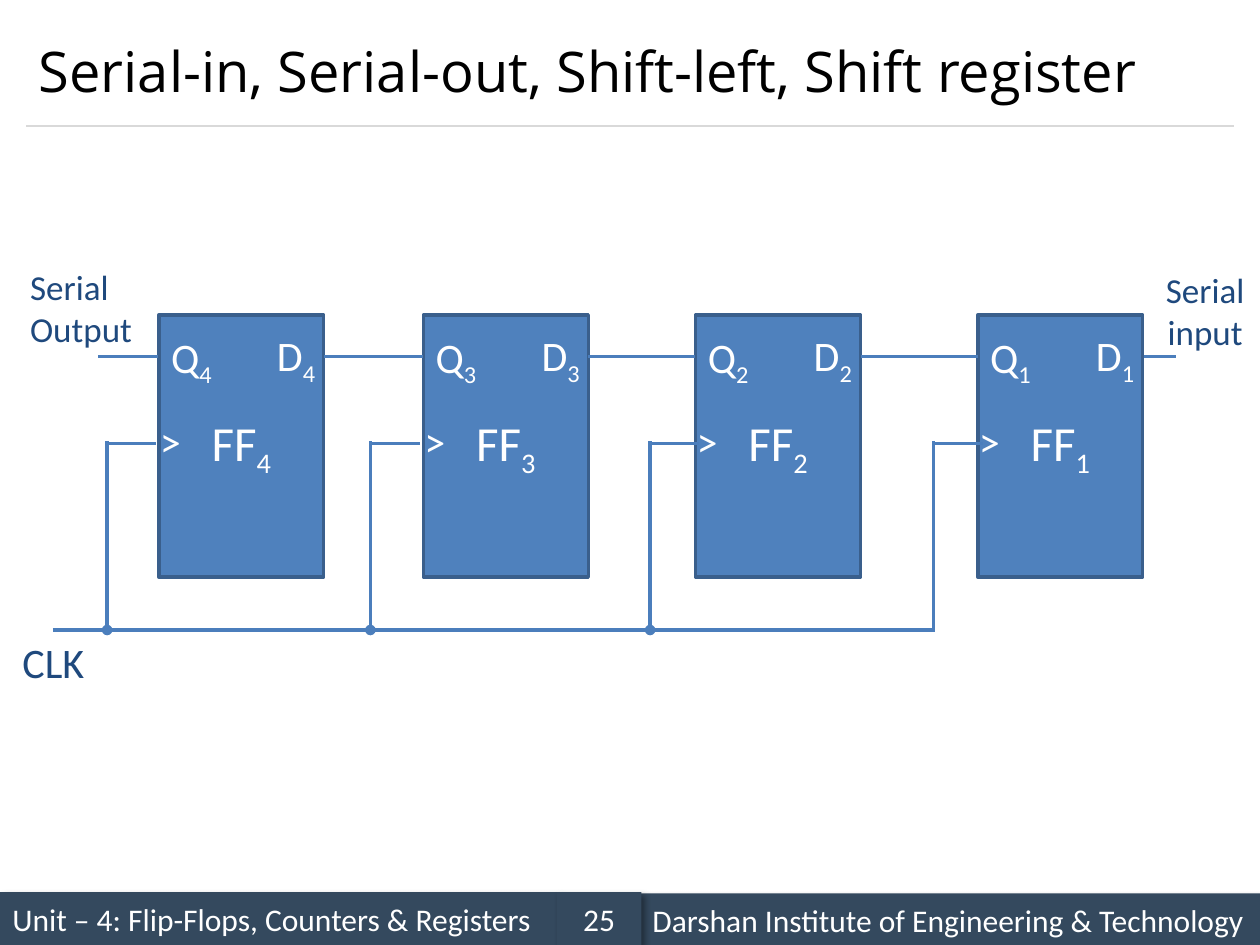
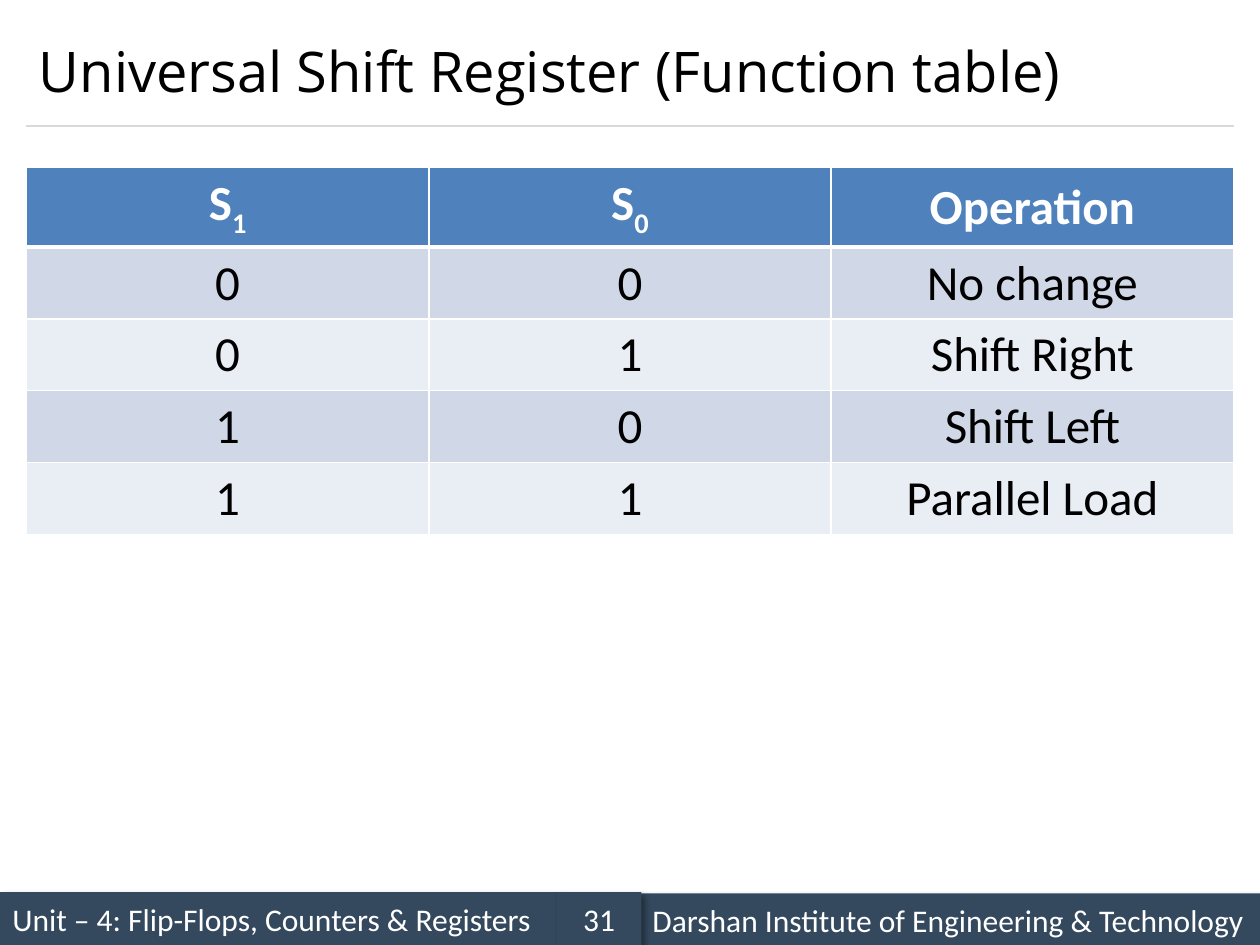
from lxml import etree
from pptx import Presentation
from pptx import util as u
from pptx.dml.color import RGBColor
from pptx.enum import shapes, text
from pptx.oxml import ns, parse_xml

color = RGBColor.from_string
WHITE, BLACK, NAVY = "FFFFFF", "000000", "1F497D"
BAND, RULE, BLUE, OUTLINE, WIRE = "34495E", "D9D9D9", "4F81BD", "3A5F8C", "4B7EBC"
ROW_FILLS = ["D0D8E8", "E9EDF4"]
LEFT, CENTER = text.PP_ALIGN.LEFT, text.PP_ALIGN.CENTER
TOP, MIDDLE = text.MSO_ANCHOR.TOP, text.MSO_ANCHOR.MIDDLE
SHADOW = f"""<a:effectLst {ns.nsdecls('a')}>
  <a:outerShdw blurRad="50800" dist="38100" dir="2700000" algn="tl" rotWithShape="0">
    <a:srgbClr val="000000"><a:alpha val="40000"/></a:srgbClr>
  </a:outerShdw></a:effectLst>"""


def write(frame, content, size=24, ink=WHITE, font="Calibri", bold=False,
          align=LEFT, anchor=TOP, wrap=True):
    """Fill a text frame; what follows an underscore becomes a subscript."""
    frame.word_wrap = wrap
    frame.vertical_anchor = anchor
    paragraph = frame.paragraphs[0]
    paragraph.alignment = align
    for index, part in enumerate(content.split("_")):
        run = paragraph.add_run()
        run.text = part
        run.font.name, run.font.size, run.font.bold = font, u.Pt(size), bold
        run.font.color.rgb = color(ink)
        if index:
            run.font._element.set("baseline", "-25000")


def add_line(slide, x1, y1, x2, y2, ink=WIRE, width=2, dot=False):
    """Draw a straight line, with a dot at its start if asked."""
    line = slide.shapes.add_connector(
        shapes.MSO_CONNECTOR.STRAIGHT, *map(u.Inches, (x1, y1, x2, y2)))
    line.line.color.rgb = color(ink)
    line.line.width = u.Pt(width)
    if dot:
        etree.SubElement(line.line._get_or_add_ln(), ns.qn("a:headEnd"), type="oval")
    etree.SubElement(line._element.spPr, ns.qn("a:effectLst"))


presentation = Presentation()
presentation.slide_width, presentation.slide_height = u.Inches(10), u.Inches(7.5)

# Shared title, rule and footer bands
slides = []
for title, number in [("Serial-in, Serial-out, Shift-left, Shift register", "25"),
                      ("Universal Shift Register (Function table)", "31")]:
    slide = presentation.slides.add_slide(presentation.slide_layouts[6])
    slides.append(slide)
    footers = [
        (0, 7.08, 4.42, "Unit – 4: Flip-Flops, Counters & Registers", LEFT),
        (5.08, 7.09, 4.92, "Darshan Institute of Engineering & Technology", LEFT),
        (4.42, 7.08, 0.67, number, CENTER),
    ]
    for left, top, width, content, align in footers:
        band = slide.shapes.add_shape(
            shapes.MSO_SHAPE.RECTANGLE, *map(u.Inches, (left, top, width, 0.42)))
        band.fill.solid()
        band.fill.fore_color.rgb = color(BAND)
        band.line.fill.background()
        band._element.spPr.append(parse_xml(SHADOW))
        write(band.text_frame, content, size=18, align=align, anchor=MIDDLE)
    add_line(slide, 0.21, 1, 9.79, 1, ink=RULE, width=0.75)
    title_box = slide.shapes.add_textbox(*map(u.Inches, (0.21, 0.12, 9.58, 0.88)))
    write(title_box.text_frame, title, size=32, ink=BLACK, font="Open Sans", anchor=MIDDLE)

# Slide 1: four flip-flops, numbered from 4 down to 1
register, function = slides
FLIP_TOP, FLIP_WIDTH, FLIP_HEIGHT = 2.5, 1.31, 2.08
DATA_Y, CLOCK_IN_Y, CLOCK_Y = 2.83, 3.52, 5
flip_lefts = [1.26, 3.36, 5.52, 7.76]
for number, left in zip((4, 3, 2, 1), flip_lefts):
    flip_flop = register.shapes.add_shape(
        shapes.MSO_SHAPE.RECTANGLE,
        *map(u.Inches, (left, FLIP_TOP, FLIP_WIDTH, FLIP_HEIGHT)))
    flip_flop.shadow.inherit = False
    flip_flop.fill.solid()
    flip_flop.fill.fore_color.rgb = color(BLUE)
    flip_flop.line.color.rgb = color(OUTLINE)
    flip_flop.line.width = u.Pt(2)
    write(flip_flop.text_frame, f"FF_{number}", size=28, align=CENTER, anchor=MIDDLE)
    for label, shift, top, width in [(f"Q_{number}", 0, 2.58, 0.54),
                                     (f"D_{number}", 0.84, 2.57, 0.54),
                                     (">", -0.09, 3.25, 0.31)]:
        pin = register.shapes.add_textbox(*map(u.Inches, (left + shift, top, width, 0.5)))
        write(pin.text_frame, label, wrap=False)

# Clock line and its branches; the last branch is a corner without a dot
clock_xs = [0.85, 2.94, 5.16, 7.41]
add_line(register, 0.42, CLOCK_Y, 7.42, CLOCK_Y)
for x in clock_xs:
    add_line(register, x, CLOCK_Y, x, 3.5, dot=x != clock_xs[-1])
    add_line(register, x - 0.01, CLOCK_IN_Y, x + 0.39, CLOCK_IN_Y)

# Data wires: output, links between neighbours, input
wires = [(left + FLIP_WIDTH, right) for left, right in zip(flip_lefts, flip_lefts[1:])]
for start, end in [(0.78, 1.25), *wires, (9.08, 9.33)]:
    add_line(register, start, DATA_Y, end, DATA_Y)

# Signal names
for content, box, size, align, wrap in [
    ("Serial Output", (0.14, 2.06, 1.28, 0.77), 20, LEFT, True),
    ("CLK", (0.08, 5, 0.7, 0.5), 24, LEFT, False),
    ("Serial input", (9.05, 2.08, 1.03, 0.77), 20, CENTER, True),
]:
    signal = register.shapes.add_textbox(*map(u.Inches, box))
    write(signal.text_frame, content, size=size, ink=NAVY, align=align, wrap=wrap)

# Slide 2: function table
rows = [
    ("S_1", "S_0", "Operation"),
    ("0", "0", "No change"),
    ("0", "1", "Shift Right"),
    ("1", "0", "Shift Left"),
    ("1", "1", "Parallel Load"),
]
table = function.shapes.add_table(
    len(rows), 3, *map(u.Inches, (0.21, 1.33, 9.58, 2.9))).table
for row_index, row in enumerate(rows):
    header = row_index == 0
    table.rows[row_index].height = u.Inches(0.62 if header else 0.57)
    for column_index, content in enumerate(row):
        cell = table.cell(row_index, column_index)
        write(cell.text_frame, content, size=28, ink=WHITE if header else BLACK,
              bold=header, align=CENTER)
        cell.vertical_anchor = MIDDLE
        # Borders come before the fill in the cell properties
        for side in ("lnL", "lnR", "lnT", "lnB"):
            thick = (header and side == "lnB") or (row_index == 1 and side == "lnT")
            cell._tc.get_or_add_tcPr().append(parse_xml(
                f'<a:{side} {ns.nsdecls("a")} w="{u.Pt(3 if thick else 1)}">'
                f'<a:solidFill><a:srgbClr val="{WHITE}"/></a:solidFill></a:{side}>'))
        cell.fill.solid()
        cell.fill.fore_color.rgb = color(BLUE if header else ROW_FILLS[(row_index - 1) % 2])

presentation.save("out.pptx")
